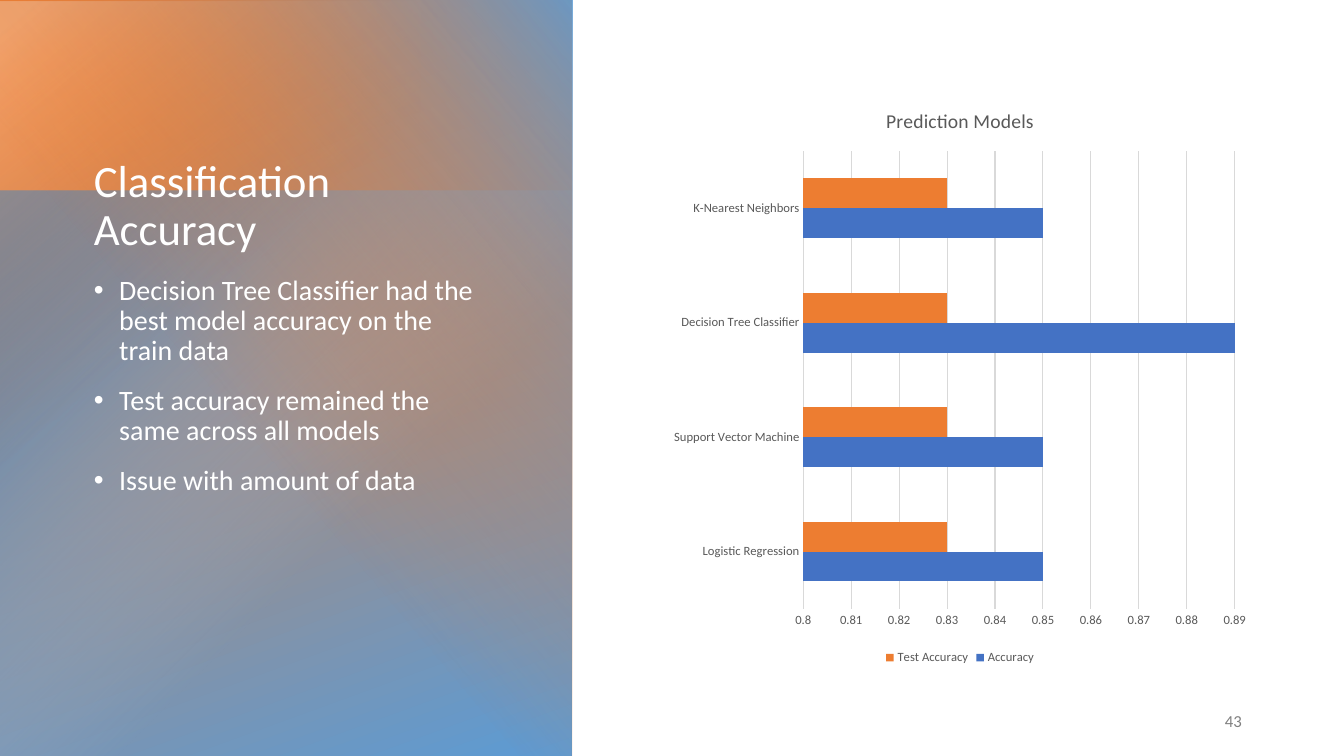
from dataclasses import dataclass

from lxml import etree
from pptx import Presentation
from pptx import util as u
from pptx.chart.data import CategoryChartData
from pptx.dml.color import RGBColor
from pptx.enum import chart as ch, shapes, text
from pptx.oxml.ns import qn

FONT = "Calibri"
WHITE, GREY, DARK, RULE = "FFFFFF", "808080", "595959", "D9D9D9"
BLUE, ORANGE = "4472C4", "ED7D31"


@dataclass
class Stop:
    pos: int
    color: str
    alpha: int = 100


@dataclass
class Panel:
    box: tuple[float, float, float, float]
    stops: list[Stop]
    angle: int | None = None
    rotation: int = 0


@dataclass
class Series:
    name: str
    values: list[float]
    color: str


PANELS = [
    Panel((-0.05, 0, 14.45, 19.13), [Stop(7, ORANGE), Stop(100, "5B9BD5")], 70),
    Panel((-0.05, 4.8, 14.45, 14.3), [Stop(0, "2E75B6"), Stop(60, "9DC3E6", 0)], None, 180),
    Panel((-0.05, 0.03, 10.64, 19.1), [Stop(3, "F4B183", 78), Stop(42, ORANGE, 0)], 50),
    Panel((-2.34, 2.31, 19.1, 14.45), [Stop(0, "5B9BD5", 86), Stop(57, ORANGE, 0)], 230, 270),
]
POINTS = [
    "Decision Tree Classifier had the best model accuracy on the train data",
    "Test accuracy remained the same across all models",
    "Issue with amount of data",
]
MODELS = ["Logistic Regression", "Support Vector Machine",
          "Decision Tree Classifier", "K-Nearest Neighbors"]
SERIES = [
    Series("Accuracy", [0.85, 0.85, 0.89, 0.85], BLUE),
    Series("Test Accuracy", [0.83] * len(MODELS), ORANGE),
]


def rgb(color: str) -> RGBColor:
    return RGBColor.from_string(color)


def apply(target, values: dict) -> None:
    for name, value in values.items():
        setattr(target, name, value)


def set_font(font, size: float, color: str) -> None:
    apply(font, {"name": FONT, "size": u.Pt(size), "bold": False})
    font.color.rgb = rgb(color)


def place(sp, box: tuple) -> None:
    apply(sp, dict(zip(("left", "top", "width", "height"), map(u.Cm, box))))


def set_gradient(sp, panel: Panel) -> None:
    sp.fill.background()
    none = sp._element.spPr.find(qn("a:noFill"))
    grad = etree.Element(qn("a:gradFill"), rotWithShape="1")
    stops = etree.SubElement(grad, qn("a:gsLst"))
    for stop in panel.stops:
        gs = etree.SubElement(stops, qn("a:gs"), pos=str(stop.pos * 1000))
        clr = etree.SubElement(gs, qn("a:srgbClr"), val=stop.color)
        if stop.alpha < 100:
            etree.SubElement(clr, qn("a:alpha"), val=str(stop.alpha * 1000))
    if panel.angle is None:
        way = etree.SubElement(grad, qn("a:path"), path="circle")
        etree.SubElement(way, qn("a:fillToRect"), r="100000", b="100000")
    else:
        etree.SubElement(grad, qn("a:lin"), ang=str(panel.angle * 60000), scaled="0")
    none.getparent().replace(none, grad)


def add_panel(group, panel: Panel) -> None:
    sp = group.shapes.add_shape(shapes.MSO_SHAPE.RECTANGLE, *map(u.Cm, panel.box))
    sp.shadow.inherit = False
    sp.line.fill.background()
    sp.rotation = panel.rotation
    set_gradient(sp, panel)


def fill_text(sp, lines: list[str], size: float, color: str, frame: dict, para: dict) -> None:
    tf = sp.text_frame
    apply(tf, {"word_wrap": True, "auto_size": text.MSO_AUTO_SIZE.NONE, **frame})
    tf.text = "\n".join(lines)
    for i, p in enumerate(tf.paragraphs):
        apply(p, {"space_before": u.Pt(0), **para} if i else {**para, "space_before": u.Pt(0)})
        for r in p.runs:
            set_font(r.font, size, color)


def add_accuracy_chart(s) -> None:
    data = CategoryChartData()
    data.categories = MODELS
    for series in SERIES:
        data.add_series(series.name, series.values)
    chart = s.shapes.add_chart(ch.XL_CHART_TYPE.BAR_CLUSTERED,
                               *map(u.Cm, (16.69, 2.18, 15.01, 14.68)), data).chart
    set_font(chart.font, 10, "000000")
    apply(chart, {"has_title": True, "has_legend": True})
    chart.chart_title.text_frame.text = "Prediction Models"
    set_font(chart.chart_title.text_frame.paragraphs[0].runs[0].font, 14, DARK)
    apply(chart.legend, {"position": ch.XL_LEGEND_POSITION.BOTTOM, "include_in_layout": False})
    set_font(chart.legend.font, 9, DARK)

    plot = chart.plots[0]
    apply(plot, {"gap_width": 182, "overlap": 0, "vary_by_categories": False})
    for drawn, series in zip(plot.series, SERIES):
        drawn.format.fill.solid()
        drawn.format.fill.fore_color.rgb = rgb(series.color)

    cat, val = chart.category_axis, chart.value_axis
    for axis in (cat, val):
        apply(axis, {"major_tick_mark": ch.XL_TICK_MARK.NONE,
                     "minor_tick_mark": ch.XL_TICK_MARK.NONE})
        set_font(axis.tick_labels.font, 9, DARK)
    apply(val, {"minimum_scale": 0.8, "maximum_scale": 0.89, "major_unit": 0.01,
                "has_major_gridlines": True})
    val.format.line.fill.background()
    for line in (cat.format.line, val.major_gridlines.format.line):
        line.color.rgb = rgb(RULE)
        line.width = u.Pt(0.75)


def main() -> None:
    prs = Presentation()
    apply(prs, {"slide_width": u.Cm(33.87), "slide_height": u.Cm(19.05)})
    s = prs.slides.add_slide(prs.slide_layouts[1])
    title, body = s.placeholders

    group = s.shapes.add_group_shape()
    for panel in PANELS:
        add_panel(group, panel)
    s.shapes._spTree.insert(2, group._element)

    place(title, (2.11, 2.06, 10.29, 4.5))
    fill_text(title, ["Classification Accuracy"], 32, WHITE,
              {"vertical_anchor": text.MSO_ANCHOR.BOTTOM},
              {"alignment": text.PP_ALIGN.LEFT, "line_spacing": 0.9, "space_after": u.Pt(6)})

    place(body, (2.11, 6.83, 10.29, 9.78))
    fill_text(body, POINTS, 20, WHITE, {"vertical_anchor": text.MSO_ANCHOR.TOP},
              {"line_spacing": 0.9, "space_before": u.Pt(14)})
    indent = u.Cm(0.64)
    for p in body.text_frame.paragraphs:
        pPr = p._p.get_or_add_pPr()
        pPr.set("marL", str(indent))
        pPr.set("indent", str(-indent))

    number = s.shapes.add_textbox(*map(u.Cm, (23.93, 17.65, 7.62, 1.02)))
    fill_text(number, ["43"], 12, GREY, {"vertical_anchor": text.MSO_ANCHOR.MIDDLE},
              {"alignment": text.PP_ALIGN.RIGHT, "space_after": u.Pt(6)})

    add_accuracy_chart(s)
    prs.save("out.pptx")


if __name__ == "__main__":
    main()
